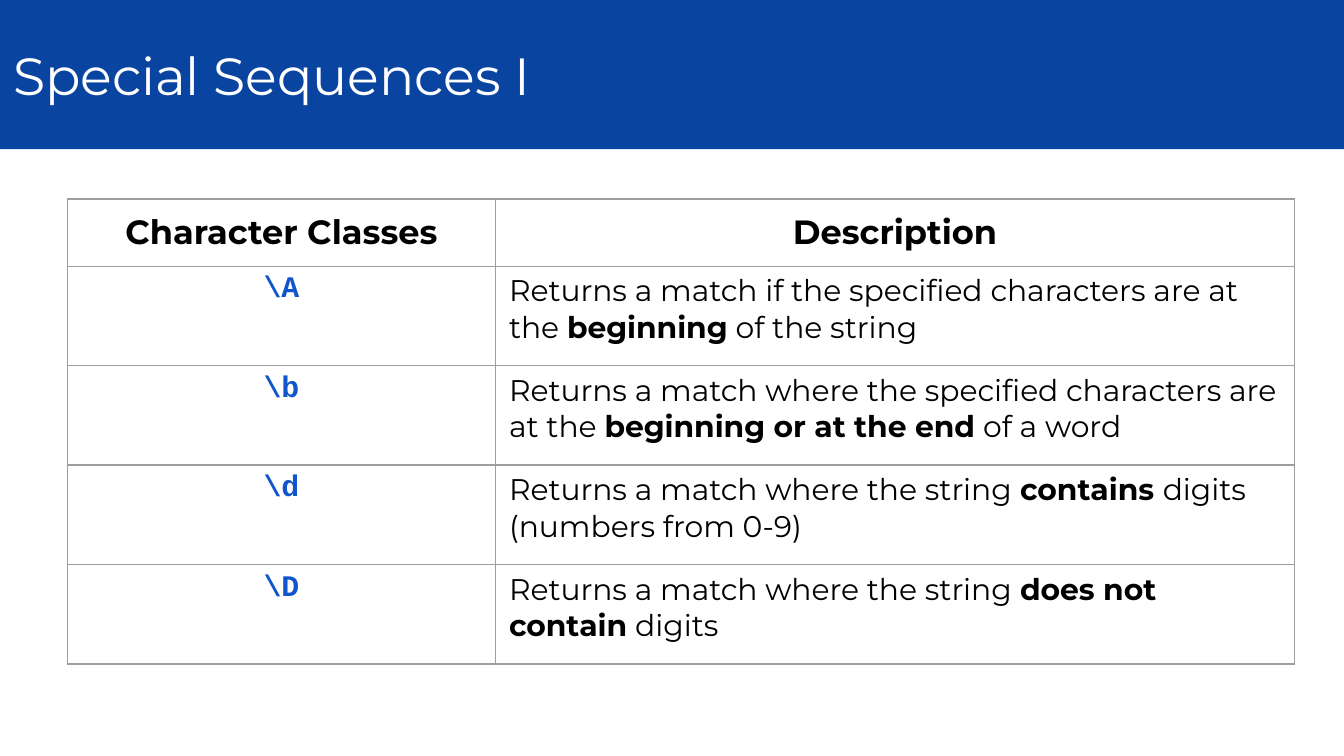
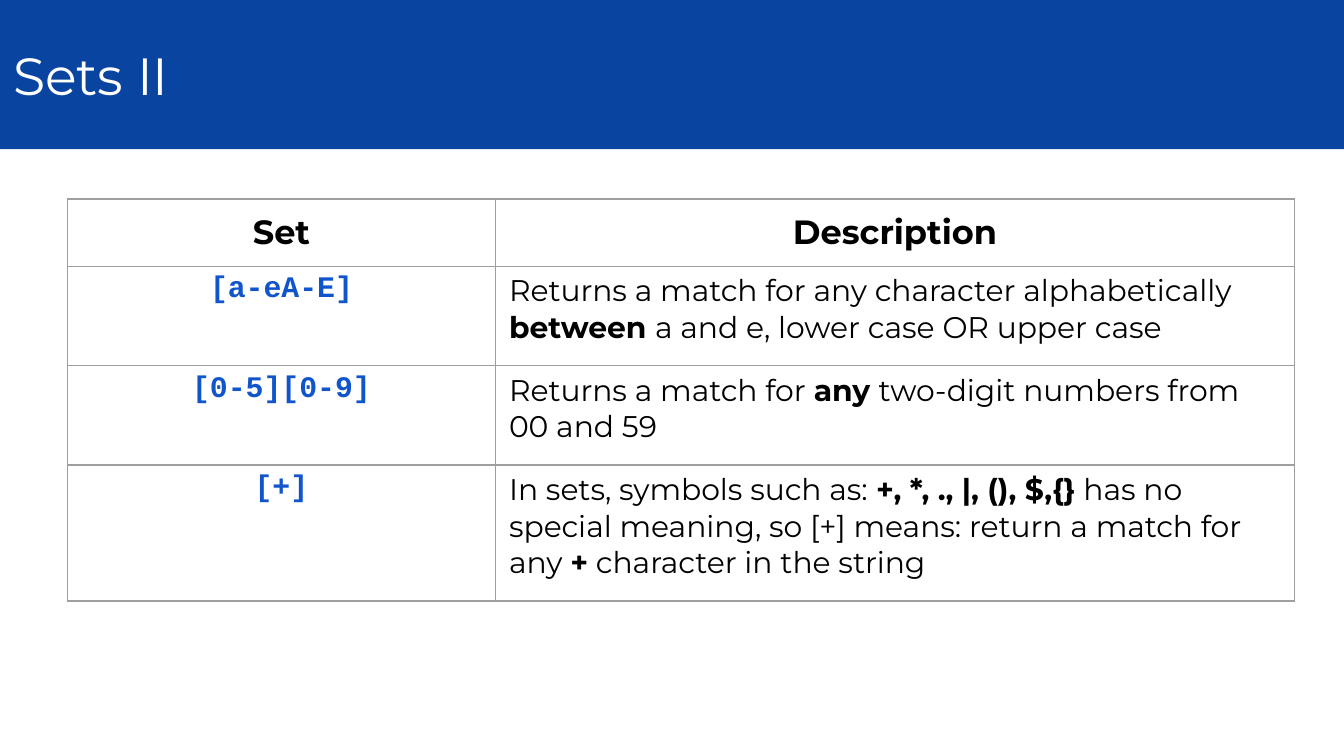
from lxml import etree
from pptx import Presentation
from pptx.dml.color import RGBColor
from pptx.enum.text import MSO_ANCHOR, MSO_AUTO_SIZE, PP_ALIGN
from pptx.oxml.ns import qn
from pptx.util import Cm, Pt

LEFT, CENTER = PP_ALIGN.LEFT, PP_ALIGN.CENTER
TOP, MIDDLE = MSO_ANCHOR.TOP, MSO_ANCHOR.MIDDLE
NO_FIT = MSO_AUTO_SIZE.NONE

BLUE = RGBColor(0x09, 0x44, 0xA1)
LINK = RGBColor(0x11, 0x55, 0xCC)
GREY = RGBColor(0x9E, 0x9E, 0x9E)
WHITE = RGBColor(0xFF, 0xFF, 0xFF)
BLACK = RGBColor(0, 0, 0)
SANS, MONO = "Montserrat", "Courier New"

WIDTH, HEIGHT = 25.4, 14.29
BAND = (0, 0, WIDTH, 2.82)
GRID = (1.27, 3.76, 23.19)
SPLIT = 8.1             # width of the first column
HEAD = 1.27             # height of the header row
LINE, PAD = 0.69, 0.5   # row height: lines of text plus padding

# Each row: code, lines of text, then runs that alternate plain and bold
SLIDES = [
    ("Special Sequences I", "Character Classes", [
        ("\\A", 2, ["Returns a match if the specified characters are at the ",
                    "beginning", " of the string"]),
        ("\\b", 2, ["Returns a match where the specified characters are at the ",
                    "beginning or at the end", " of a word"]),
        ("\\d", 2, ["Returns a match where the string ", "contains ",
                    "digits (numbers from 0-9)"]),
        ("\\D", 2, ["Returns a match where the string ", "does not contain",
                    " digits"]),
    ]),
    ("Sets II", "Set", [
        ("[a-eA-E]", 2, ["Returns a match for any character alphabetically ",
                         "between ", "a and e, lower case OR upper case"]),
        ("[0-5][0-9]", 2, ["Returns a match for ", "any ",
                           "two-digit numbers from 00 and 59"]),
        ("[+]", 3, ["In sets, symbols such as: ", "+, *, ., |, (), $,{}",
                    " has no special meaning, so [+] means: return a match for any ",
                    "+", " character in the string"]),
    ]),
]


def style(para, face, size, color, bold=None, align=LEFT):
    para.alignment = align
    font = para.font
    font.name, font.size, font.bold = face, Pt(size), bold
    font.color.rgb = color


def border(cell):
    props = cell._tc.get_or_add_tcPr()
    for spot, side in enumerate(("a:lnL", "a:lnR", "a:lnT", "a:lnB")):
        line = etree.Element(qn(side), w=str(Pt(0.75)))
        fill = etree.SubElement(line, qn("a:solidFill"))
        etree.SubElement(fill, qn("a:srgbClr"), val=str(GREY))
        props.insert(spot, line)


def fill_cell(cell, runs, face, size, color, bold=None, align=LEFT, anchor=TOP):
    cell.fill.background()
    cell.margin_left = cell.margin_right = Cm(0.25)
    cell.margin_top = cell.margin_bottom = Cm(0.13)
    cell.vertical_anchor = anchor
    border(cell)
    para = cell.text_frame.paragraphs[0]
    style(para, face, size, color, bold, align)
    for i, text in enumerate(runs):
        run = para.add_run()
        run.text = text
        if i % 2:
            run.font.bold = True


def add_band(slide, box, text):
    """Title on a full-width blue band."""
    title = slide.shapes.title
    title.left, title.top, title.width, title.height = map(Cm, box)
    title.fill.solid()
    title.fill.fore_color.rgb = BLUE
    frame = title.text_frame
    frame.text = text
    frame.auto_size, frame.word_wrap = NO_FIT, True
    frame.vertical_anchor = MIDDLE
    frame.margin_left = frame.margin_right = Cm(0.25)
    frame.margin_top = frame.margin_bottom = Cm(0.25)
    style(frame.paragraphs[0], SANS, 28, WHITE)


def add_grid(slide, box, head, rows):
    """Table of patterns and what they match."""
    left, top, width = box
    highs = [HEAD] + [lines * LINE + PAD for _, lines, _ in rows]
    frame = slide.shapes.add_table(len(highs), 2, Cm(left), Cm(top),
                                   Cm(width), Cm(sum(highs)))
    table = frame.table
    table.first_row = table.horz_banding = False
    for col, wide in zip(table.columns, (SPLIT, width - SPLIT)):
        col.width = Cm(wide)
    for row, high in zip(table.rows, highs):
        row.height = Cm(high)

    # Header row
    for i, text in enumerate((head, "Description")):
        fill_cell(table.cell(0, i), [text], SANS, 18, BLACK, True, CENTER, MIDDLE)

    # Pattern rows
    for i, (code, _, runs) in enumerate(rows, 1):
        fill_cell(table.cell(i, 0), [code], MONO, 16, LINK, True, CENTER)
        fill_cell(table.cell(i, 1), runs, SANS, 16, BLACK)


def main():
    deck = Presentation()
    deck.slide_width, deck.slide_height = Cm(WIDTH), Cm(HEIGHT)
    for title, head, rows in SLIDES:
        slide = deck.slides.add_slide(deck.slide_layouts[5])
        add_band(slide, BAND, title)
        add_grid(slide, GRID, head, rows)
    deck.save("out.pptx")


if __name__ == "__main__":
    main()
